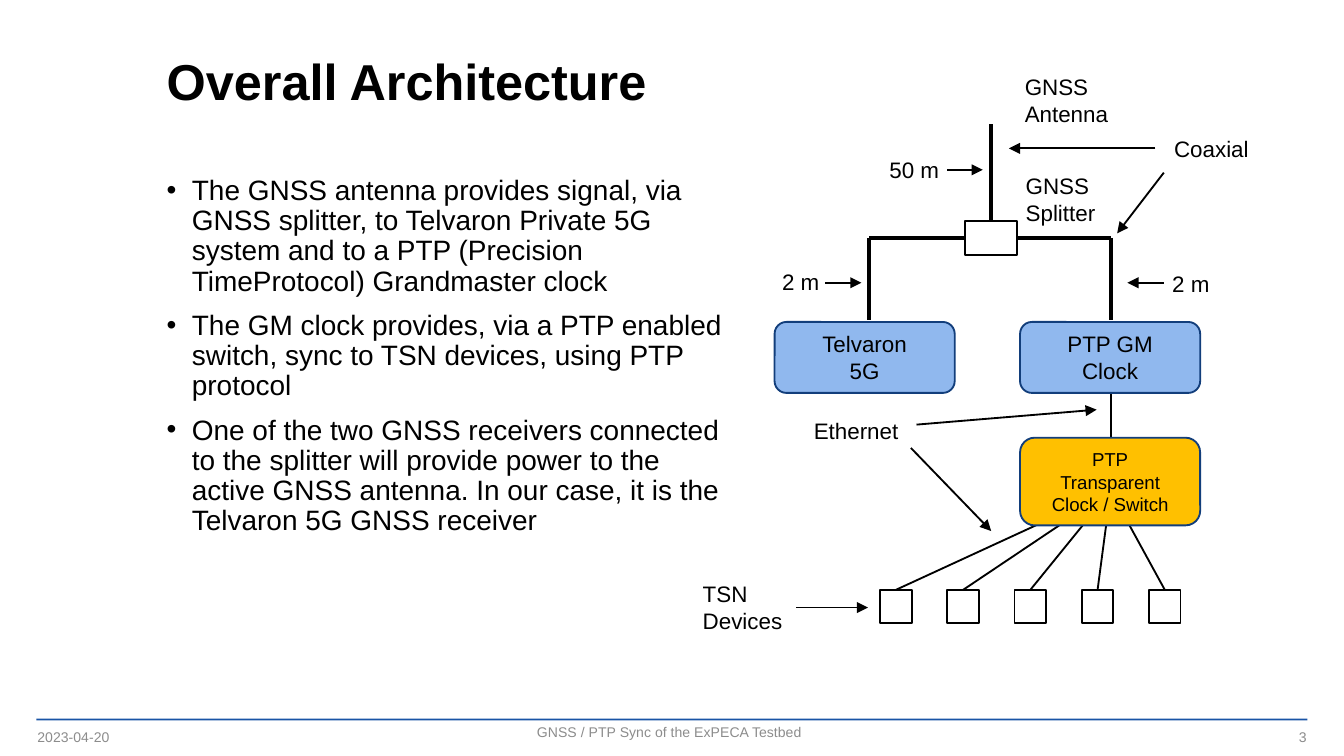
import pptx
import pptx.dml.color
import pptx.enum.shapes
import pptx.enum.text
import pptx.oxml.ns
import pptx.util

Pt = pptx.util.Pt
SHAPE = pptx.enum.shapes.MSO_SHAPE
ALIGN = pptx.enum.text.PP_ALIGN
ANCHOR = pptx.enum.text.MSO_ANCHOR

COLORS = {
    "text": "000000",
    "muted": "8C8C8C",
    "rule": "1954A6",
    "outline": "123E7B",
    "receiver": "90B8EE",
    "switch": "FFC000",
}

BULLETS = [
    "The GNSS antenna provides signal, via GNSS splitter, to Telvaron Private 5G "
    "system and to a PTP (Precision TimeProtocol) Grandmaster clock",
    "The GM clock provides, via a PTP enabled switch, sync to TSN devices, "
    "using PTP protocol",
    "One of the two GNSS receivers connected to the splitter will provide power to "
    "the active GNSS antenna. In our case, it is the Telvaron 5G GNSS receiver",
]


class Deck:
    """Slide under construction together with its style."""

    font = "Arial"

    def __init__(self, prs):
        self.s = prs.slides.add_slide(prs.slide_layouts[1])

    def color(self, name):
        return pptx.dml.color.RGBColor.from_string(COLORS[name])

    def style(self, p, size, color="text", align=ALIGN.LEFT, bold=False):
        p.alignment = align
        p.font.name = self.font
        p.font.size = Pt(size)
        p.font.bold = bold
        p.font.color.rgb = self.color(color)

    def frame(self, sp, anchor):
        """Prepare a wrapping text frame without insets."""
        tf = sp.text_frame
        tf.word_wrap = True
        tf.auto_size = pptx.enum.text.MSO_AUTO_SIZE.NONE
        tf.vertical_anchor = anchor
        tf.margin_left = tf.margin_right = tf.margin_top = tf.margin_bottom = 0
        return tf

    def place(self, sp, x, y, w, h):
        sp.left, sp.top, sp.width, sp.height = Pt(x), Pt(y), Pt(w), Pt(h)

    def title(self, text, x, y, w, h):
        sp = self.s.shapes.title
        self.place(sp, x, y, w, h)
        tf = self.frame(sp, ANCHOR.MIDDLE)
        tf.text = text
        self.style(tf.paragraphs[0], 27, bold=True)
        tf.paragraphs[0].line_spacing = 0.9

    def bullets(self, items, x, y, w, h):
        sp = self.s.placeholders[1]
        self.place(sp, x, y, w, h)
        tf = self.frame(sp, ANCHOR.TOP)
        tf.text = "\n".join(items)
        for p in tf.paragraphs:
            self.style(p, 15)
            p.line_spacing = 0.9
            p.space_before = Pt(7.5)
            pPr = p._p.get_or_add_pPr()
            pPr.set("marL", str(Pt(13.5)))
            pPr.set("indent", str(-Pt(13.5)))

    def label(self, text, x, y, w, h, size=12, color="text", align=ALIGN.LEFT,
              anchor=ANCHOR.TOP):
        sp = self.s.shapes.add_textbox(Pt(x), Pt(y), Pt(w), Pt(h))
        tf = self.frame(sp, anchor)
        tf.text = text
        self.style(tf.paragraphs[0], size, color, align)

    def box(self, x, y, w, h, shape=SHAPE.RECTANGLE, fill=None, line="text",
            text="", size=12):
        sp = self.s.shapes.add_shape(shape, Pt(x), Pt(y), Pt(w), Pt(h))
        sp.shadow.inherit = False
        if fill:
            sp.fill.solid()
            sp.fill.fore_color.rgb = self.color(fill)
        else:
            sp.fill.background()
        if line:
            sp.line.color.rgb = self.color(line)
            sp.line.width = Pt(1)
        else:
            sp.line.fill.background()
        if text:
            tf = self.frame(sp, ANCHOR.MIDDLE)
            tf.text = text
            for p in tf.paragraphs:
                self.style(p, size, align=ALIGN.CENTER)

    def line(self, x1, y1, x2, y2, width=1, arrow=False):
        cxn = self.s.shapes.add_connector(
            pptx.enum.shapes.MSO_CONNECTOR.STRAIGHT, Pt(x1), Pt(y1), Pt(x2), Pt(y2))
        cxn.line.color.rgb = self.color("text")
        cxn.line.width = Pt(width)
        qn = pptx.oxml.ns.qn
        spPr = cxn._element.spPr
        if arrow:
            ln = spPr.find(qn("a:ln"))
            ln.append(ln.makeelement(qn("a:tailEnd"), {"type": "triangle"}))
        spPr.append(spPr.makeelement(qn("a:effectLst"), {}))


def draw_text(deck):
    deck.box(19.5, 385, 681, 1, fill="rule", line=None)
    deck.title("Overall Architecture", 89.3, 19.4, 611, 51)
    deck.bullets(BULLETS, 89.3, 94.3, 299, 279)
    for text, x, y, w, align in [
        ("2023-04-20", 20, 386, 162, ALIGN.LEFT),
        ("GNSS / PTP Sync of the ExPECA Testbed", 237, 383, 243, ALIGN.CENTER),
        ("3", 538, 386, 162, ALIGN.RIGHT),
    ]:
        deck.label(text, x, y, w, 18, 7.5, "muted", align, ANCHOR.MIDDLE)


def draw_diagram(deck):
    antenna_x, left_x, right_x = 531, 465.5, 595
    branch_y, receiver_y, switch_y = 127.5, 172.5, 234.5
    device_y, device_w, device_pitch = 316, 17, 36

    # Coaxial tree from the antenna through the splitter
    deck.box(517, 118.5, 28, 18)
    deck.line(antenna_x, 66.5, antenna_x, 118.5, width=2)
    for x, splitter_edge in [(left_x, 517), (right_x, 545)]:
        deck.line(splitter_edge, branch_y, x, branch_y, width=2)
        deck.line(x, branch_y, x, 171.5, width=2)

    # Ethernet links, with the fan ending behind the switch
    deck.line(right_x, 201.5, right_x, switch_y)
    for i in range(5):
        x = 471.5 + i * device_pitch
        deck.box(x, device_y, device_w, 18)
        deck.line(right_x, 263, x + device_w / 2, device_y)

    for x, y, h, fill, text, size in [
        (415, receiver_y, 38, "receiver", "Telvaron\n5G", 12),
        (546.5, receiver_y, 38, "receiver", "PTP GM\nClock", 12),
        (546.5, switch_y, 47, "switch", "PTP\nTransparent\nClock / Switch", 10),
    ]:
        deck.box(x, y, 96.5, h, SHAPE.ROUNDED_RECTANGLE, fill, "outline", text, size)

    for text, x, y, lines in [
        ("GNSS Antenna", 549, 39, 2),
        ("GNSS Splitter", 549.5, 92, 2),
        ("TSN Devices", 376.5, 311, 2),
        ("50 m", 476.5, 83.5, 1),
        ("2 m", 419, 143.5, 1),
        ("2 m", 628, 144.5, 1),
        ("Ethernet", 436, 223.5, 1),
        ("Coaxial", 629, 72.5, 1),
    ]:
        deck.label(text, x, y, 50, 14.5 * lines)

    for ends in [
        (426.5, 325.5, 465, 325.5),
        (507.5, 91, 526.5, 91),
        (442, 151.5, 461.5, 151.5),
        (623.5, 151.5, 604, 151.5),
        (491, 227.5, 587.5, 219.5),
        (488, 240, 531, 284.5),
        (619, 79.5, 540.5, 79.5),
        (623.5, 92.5, 598.5, 125),
    ]:
        deck.line(*ends, arrow=True)


def main():
    prs = pptx.Presentation()
    prs.slide_width, prs.slide_height = Pt(720), Pt(405)
    deck = Deck(prs)
    draw_text(deck)
    draw_diagram(deck)
    prs.save("out.pptx")


if __name__ == "__main__":
    main()
